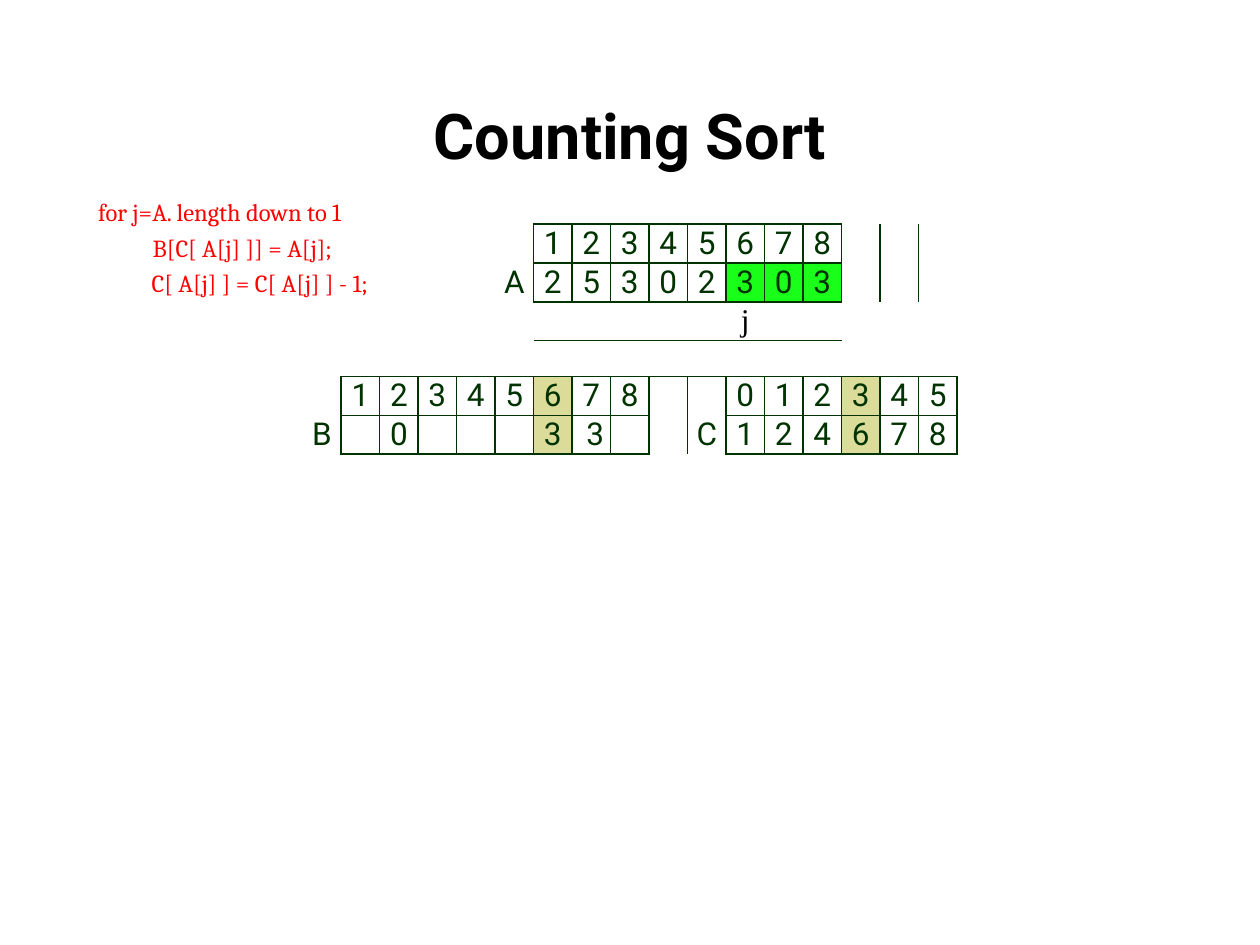
import pptx
import pptx.util
import pptx.dml.color
import pptx.enum.text
import pptx.oxml
import pptx.oxml.ns
import lxml.etree

Cm, Pt = pptx.util.Cm, pptx.util.Pt
PP_ALIGN = pptx.enum.text.PP_ALIGN
INK, GREEN, SAND = "003300", "1AFF1A", "DCDC9A"
ROWS, COLS = 6, 17
OPPOSITE = {"L": (0, -1, "R"), "R": (0, 1, "L"), "T": (-1, 0, "B"), "B": (1, 0, "T")}
ARRAYS = [
    ("A", 0, 5, "12345678", list("25302303"), GREEN, {(1, 5), (1, 6), (1, 7)}),
    ("B", 4, 0, "12345678", ["", "0", "", "", "", "3", " 3", ""], SAND, {(0, 5), (1, 5)}),
    ("C", 4, 10, "012345", list("124678"), SAND, {(0, 3), (1, 3)}),
]
CODE = [
    (0, ["for ", "j=A. length down to ", "1"]),
    (1.1, ["B[C[ ", "A[j] ", "]] = ", "A[j];"]),
    (1.08, ["C[ ", "A[j] ", "] = ", "C[ A[j] ", "] - ", "1;"]),
]


def rgb(color):
    """Turn a hex string into a colour."""
    return pptx.dml.color.RGBColor.from_string(color)


def add_run(p, text, size, font, color, bold=False):
    """Append one formatted run to a paragraph."""
    r = p.add_run()
    r.text = text
    r.font.size, r.font.name, r.font.bold = Pt(size), font, bold
    r.font.color.rgb = rgb(color)


def add_textbox(s, left, top, width, height):
    """Add a wrapping text box and return its text frame."""
    tf = s.shapes.add_textbox(Cm(left), Cm(top), Cm(width), Cm(height)).text_frame
    tf.word_wrap = True
    return tf


def add_title(s, text):
    """Add the centred slide title."""
    tf = add_textbox(s, 1.27, 1.12, 22.86, 3.18)
    tf.vertical_anchor = pptx.enum.text.MSO_ANCHOR.MIDDLE
    p = tf.paragraphs[0]
    p.alignment = PP_ALIGN.CENTER
    add_run(p, text, 36, "Roboto", "000000", True)


def add_code(s, lines):
    """Add the pseudocode with its indented body."""
    tf = add_textbox(s, 1.7, 3.73, 21.4, 2.36)
    for i, (indent, parts) in enumerate(lines):
        p = tf.paragraphs[0] if i == 0 else tf.add_paragraph()
        p.line_spacing = 1.21
        p._p.get_or_add_pPr().set("marL", str(Cm(0.03 + indent)))
        for part in parts:
            add_run(p, part, 14, "Cambria", "FF0000")


def plan_cells():
    """Work out the texts, fills and ruled edges of the table."""
    texts, fills, edges = {(2, 11): "j"}, {}, set()
    for name, top, left, indices, values, color, marked in ARRAYS:
        texts[top + 1, left] = name
        for i, row in enumerate((indices, values)):
            for j, text in enumerate(row):
                pos = (top + i, left + 1 + j)
                texts[pos] = text
                edges |= {(*pos, side) for side in "LRTB"}
                if (i, j) in marked:
                    fills[pos] = color
    edges |= {(r, 14, "R") for r in (0, 1)} | {(r, 9, "R") for r in (4, 5)}
    edges |= {(2, c, "B") for c in range(6, 14)}
    for r, c, side in list(edges):
        dr, dc, other = OPPOSITE[side]
        edges.add((r + dr, c + dc, other))
    return texts, fills, edges


def add_border(cell, side):
    """Rule one side of a table cell."""
    qn = pptx.oxml.ns.qn
    ln = lxml.etree.SubElement(cell._tc.get_or_add_tcPr(), qn(f"a:ln{side}"), w=str(Pt(1)))
    fill = lxml.etree.SubElement(ln, qn("a:solidFill"))
    lxml.etree.SubElement(fill, qn("a:srgbClr"), val=INK)


def fill_cell(cell, text, color):
    """Set the margins, fill and text of a table cell."""
    cell.margin_left = cell.margin_right = cell.margin_top = Cm(0.02)
    cell.margin_bottom = 0
    if color:
        cell.fill.solid()
        cell.fill.fore_color.rgb = rgb(color)
    else:
        cell.fill.background()
    p = cell.text_frame.paragraphs[0]
    p.alignment = PP_ALIGN.CENTER
    if text == "j":
        add_run(p, text, 18, "Times New Roman", "000000")
    elif text:
        add_run(p, text, 18, "Roboto", INK)
    else:
        lxml.etree.SubElement(p._p, pptx.oxml.ns.qn("a:endParaRPr"), sz="1200")


def add_arrays(s):
    """Add the table that holds the arrays A, B and C."""
    sp = s.shapes.add_table(ROWS, COLS, Cm(6.1), Cm(4.52), Cm(13.2), Cm(0.72 * ROWS))
    tbl = sp.table
    tbl.first_row = tbl.horz_banding = False
    style = tbl._tbl.tblPr.find(pptx.oxml.ns.qn("a:tableStyleId"))
    style.text = "{2D5ABB26-0587-4C30-8999-92F81FD0307C}"
    texts, fills, edges = plan_cells()
    for r in range(ROWS):
        for c in range(COLS):
            cell = tbl.cell(r, c)
            for side in "LRTB":
                if (r, c, side) in edges:
                    add_border(cell, side)
            fill_cell(cell, texts.get((r, c)), fills.get((r, c)))


def main():
    """Build the slide and save it."""
    prs = pptx.Presentation()
    prs.slide_width, prs.slide_height = Cm(25.4), Cm(19.05)
    s = prs.slides.add_slide(prs.slide_layouts[6])
    add_title(s, "Counting Sort")
    add_arrays(s)
    add_code(s, CODE)
    prs.save("out.pptx")


if __name__ == "__main__":
    main()
